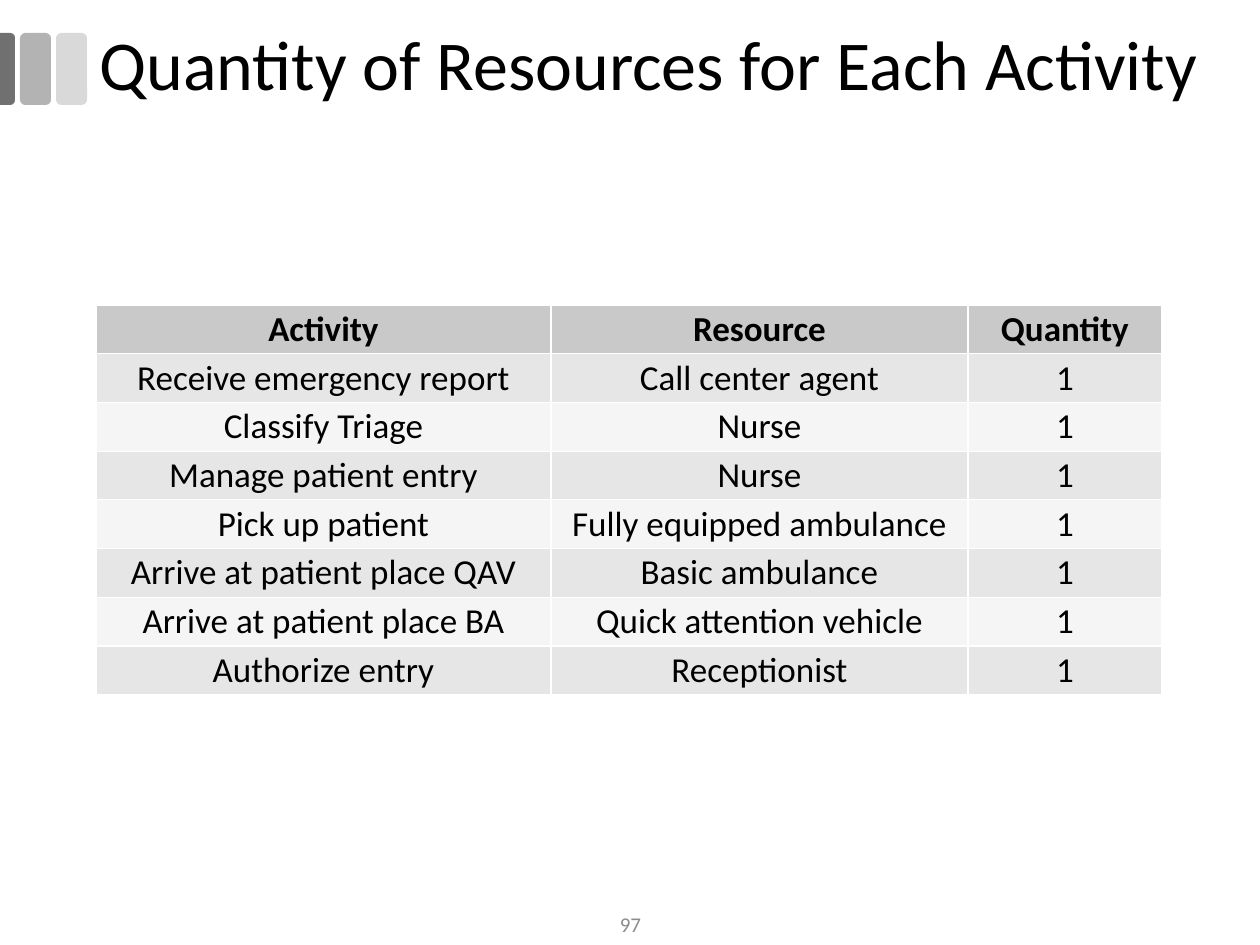
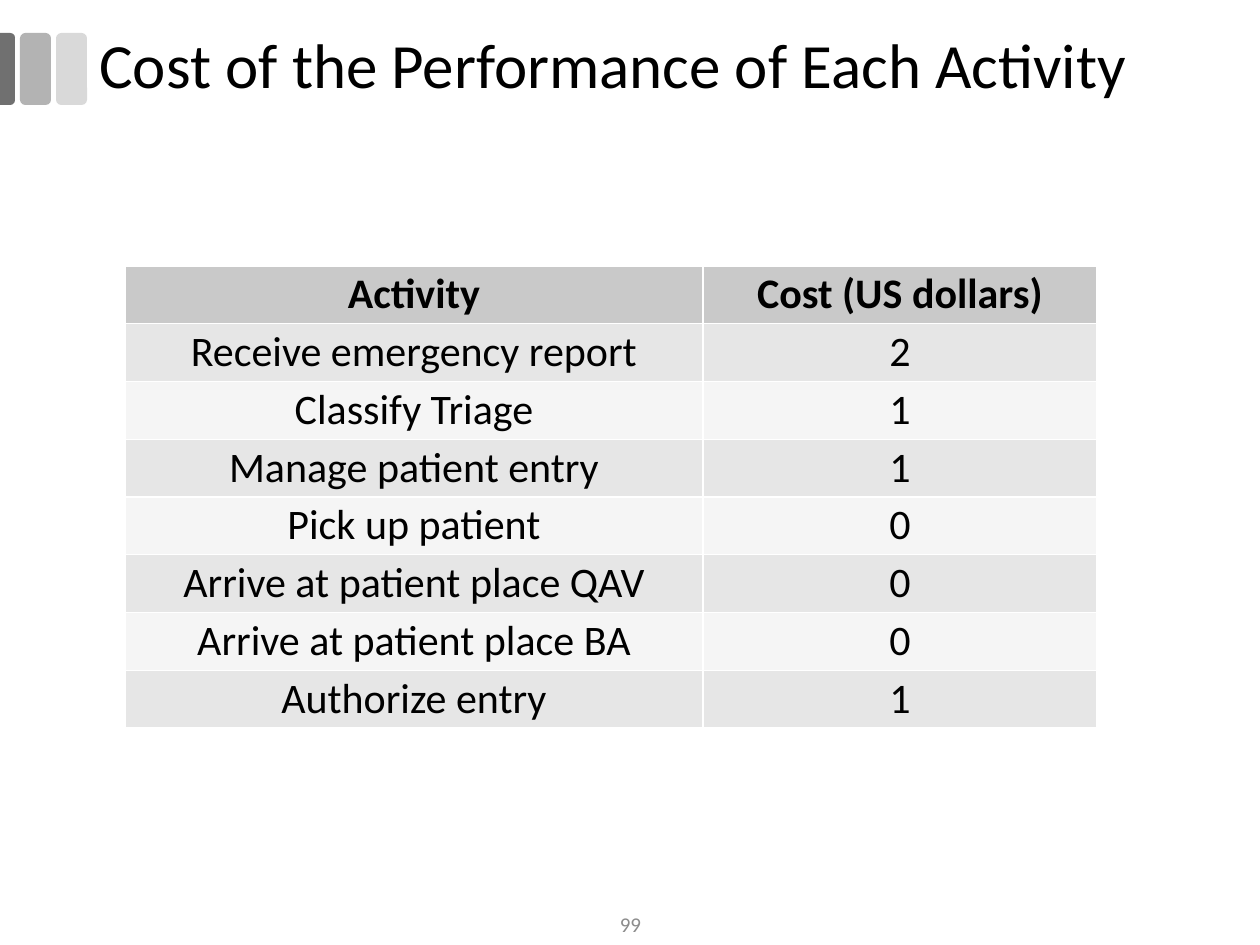
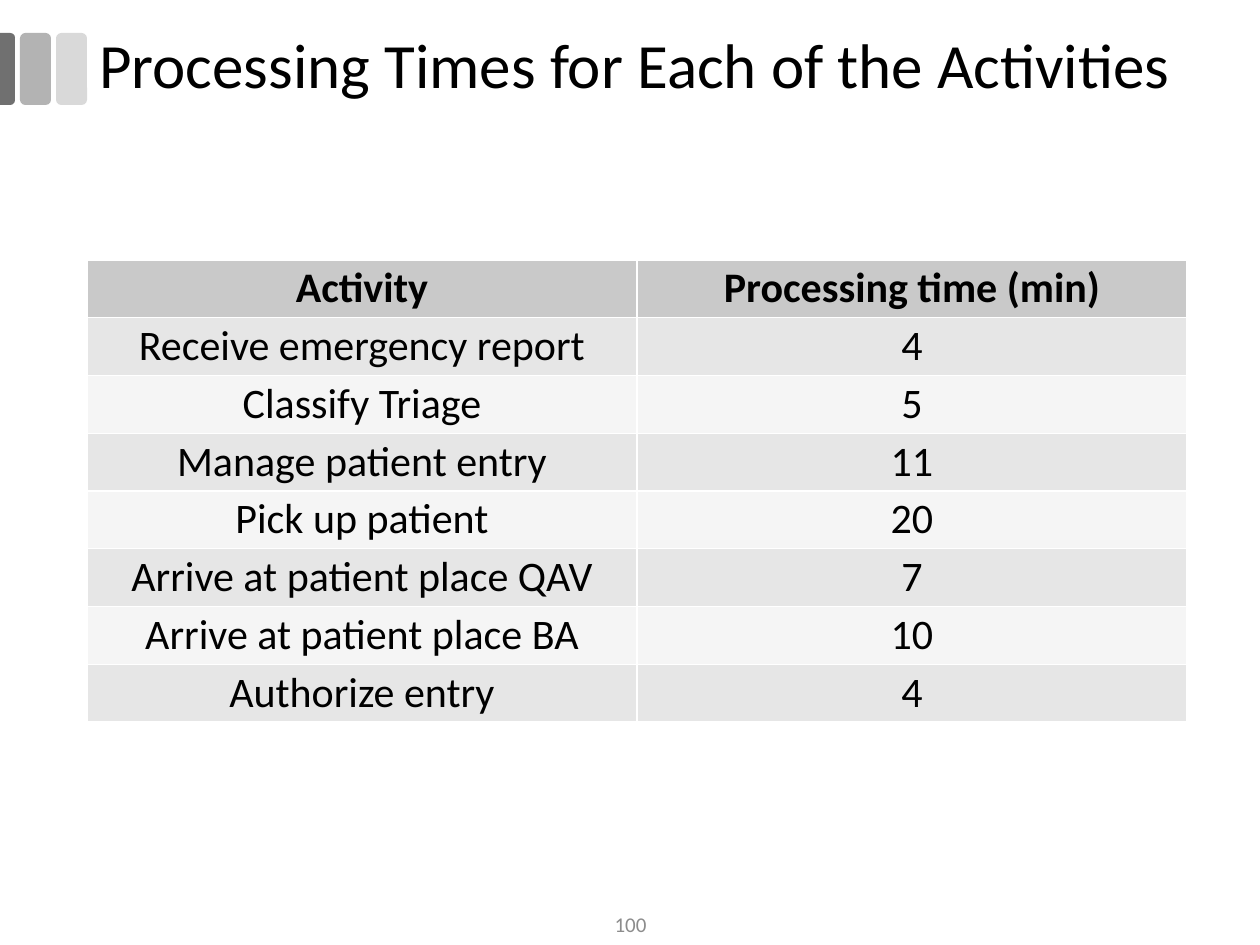
import pptx
import pptx.dml.color
import pptx.enum.shapes
import pptx.enum.text
import pptx.oxml
import pptx.oxml.ns
import pptx.util

RGB = pptx.dml.color.RGBColor
SHAPE = pptx.enum.shapes.MSO_SHAPE
ALIGN = pptx.enum.text.PP_ALIGN
MIDDLE = pptx.enum.text.MSO_ANCHOR.MIDDLE

BLACK = RGB(0x00, 0x00, 0x00)
WHITE = RGB(0xFF, 0xFF, 0xFF)
BAR_DARK = RGB(0x70, 0x70, 0x70)
BAR_MID = RGB(0xB3, 0xB3, 0xB3)
BAR_LIGHT = RGB(0xD9, 0xD9, 0xD9)
FOOTER_GRAY = RGB(0x8C, 0x8C, 0x8C)
HEADER_FILL = RGB(0xC9, 0xC9, 0xC9)
BAND_FILLS = (RGB(0xF5, 0xF5, 0xF5), RGB(0xE6, 0xE6, 0xE6))

FONT = "Calibri"
SLIDE_W, SLIDE_H = 1260, 945
BARS_BOX = (0, 33, 87, 72)
TITLE_BOX = (87, 21, 1172, 94)
FOOTER_BOX = (489, 903, 283, 42)
CELL_INSET = 3

ACTIVITIES = ["Receive emergency report", "Classify Triage", "Manage patient entry",
              "Pick up patient", "Arrive at patient place QAV",
              "Arrive at patient place BA", "Authorize entry"]
RESOURCES = ["Call center agent", "Nurse", "Nurse", "Fully equipped ambulance",
             "Basic ambulance", "Quick attention vehicle", "Receptionist"]

# Each table: left, top, height, column widths, text size, columns of header and values
SLIDES = [
    {"title": "Quantity of Resources for Each Activity", "title_size": 40, "number": 97,
     "box": (96, 305, 390), "widths": (455, 417, 194), "size": 20,
     "columns": {"Activity": ACTIVITIES, "Resource": RESOURCES,
                 "Quantity": [1] * len(ACTIVITIES)}},
    {"title": "Cost of the Performance of Each Activity", "title_size": 36, "number": 99,
     "box": (125, 266, 462), "widths": (578, 394), "size": 24,
     "columns": {"Activity": ACTIVITIES, "Cost (US dollars)": [2, 1, 1, 0, 0, 0, 1]}},
    {"title": "Processing Times for Each of the Activities", "title_size": 36, "number": 100,
     "box": (87, 260, 462), "widths": (550, 550), "size": 24,
     "columns": {"Activity": ACTIVITIES,
                 "Processing time (min)": [4, 5, 11, 20, 7, 10, 4]}},
]


def px(n):
    return pptx.util.Emu(round(n * 914400 / 126))


def write(p, text, size, color=BLACK, bold=False):
    r = p.add_run()
    r.text = str(text)
    fmt = {"name": FONT, "size": pptx.util.Pt(size), "bold": bold}
    for key, value in fmt.items():
        setattr(r.font, key, value)
    r.font.color.rgb = color


def add_text(s, box, text, size, color=BLACK, **paragraph):
    tf = s.shapes.add_textbox(*map(px, box)).text_frame
    tf.word_wrap = True
    tf.vertical_anchor = MIDDLE
    p = tf.paragraphs[0]
    for key, value in paragraph.items():
        setattr(p, key, value)
    write(p, text, size, color)


def add_bar(s, kind, box, color):
    sp = s.shapes.add_shape(kind, *map(px, box))
    sp.shadow.inherit = False
    sp.fill.solid()
    sp.fill.fore_color.rgb = color
    sp.line.fill.background()
    return sp


def add_bars(s, box):
    x, y, w, h = box
    bar_w, pitch, edge_w = 31, 36, 16
    # Two full bars, counted from the right
    for i, color in enumerate((BAR_LIGHT, BAR_MID)):
        left = x + w - bar_w - i * pitch
        add_bar(s, SHAPE.ROUNDED_RECTANGLE, (left, y, bar_w, h), color)
    # Edge bar, turned so that its rounded side faces right
    center_x, center_y = x + edge_w // 2 - 1, y + h // 2
    sp = add_bar(s, SHAPE.ROUND_2_SAME_RECTANGLE,
                 (center_x - h // 2, center_y - edge_w // 2, h, edge_w), BAR_DARK)
    sp.rotation = 90
    sp.adjustments[0] = 0.29


def set_borders(cell, color, width):
    tc_pr = cell._tc.get_or_add_tcPr()
    for side in ("lnL", "lnR", "lnT", "lnB"):
        tc_pr.append(pptx.oxml.parse_xml(
            f'<a:{side} {pptx.oxml.ns.nsdecls("a")} w="{pptx.util.Pt(width)}">'
            f'<a:solidFill><a:srgbClr val="{color}"/></a:solidFill></a:{side}>'))


def add_activity_table(s, box, widths, size, columns):
    x, y, h = box
    rows = [tuple(columns), *zip(*columns.values())]
    tbl = s.shapes.add_table(len(rows), len(widths), px(x), px(y),
                             px(sum(widths)), px(h)).table
    for col, width in zip(tbl.columns, widths):
        col.width = px(width)
    for i, values in enumerate(rows):
        tbl.rows[i].height = px(h / len(rows))
        for j, value in enumerate(values):
            cell = tbl.cell(i, j)
            for side in ("left", "right", "top", "bottom"):
                setattr(cell, f"margin_{side}", px(CELL_INSET))
            set_borders(cell, WHITE, 0.75)
            cell.fill.solid()
            cell.fill.fore_color.rgb = BAND_FILLS[i % 2] if i else HEADER_FILL
            p = cell.text_frame.paragraphs[0]
            p.alignment = ALIGN.CENTER
            write(p, value, size, bold=i == 0)


def add_table_slide(prs, content):
    s = prs.slides.add_slide(prs.slide_layouts[6])
    add_bars(s, BARS_BOX)
    add_text(s, FOOTER_BOX, content["number"], 12, FOOTER_GRAY, alignment=ALIGN.CENTER)
    add_text(s, TITLE_BOX, content["title"], content["title_size"], line_spacing=0.9)
    add_activity_table(s, content["box"], content["widths"], content["size"],
                       content["columns"])


def main():
    prs = pptx.Presentation()
    prs.slide_width, prs.slide_height = px(SLIDE_W), px(SLIDE_H)
    for content in SLIDES:
        add_table_slide(prs, content)
    prs.save("out.pptx")


if __name__ == "__main__":
    main()
